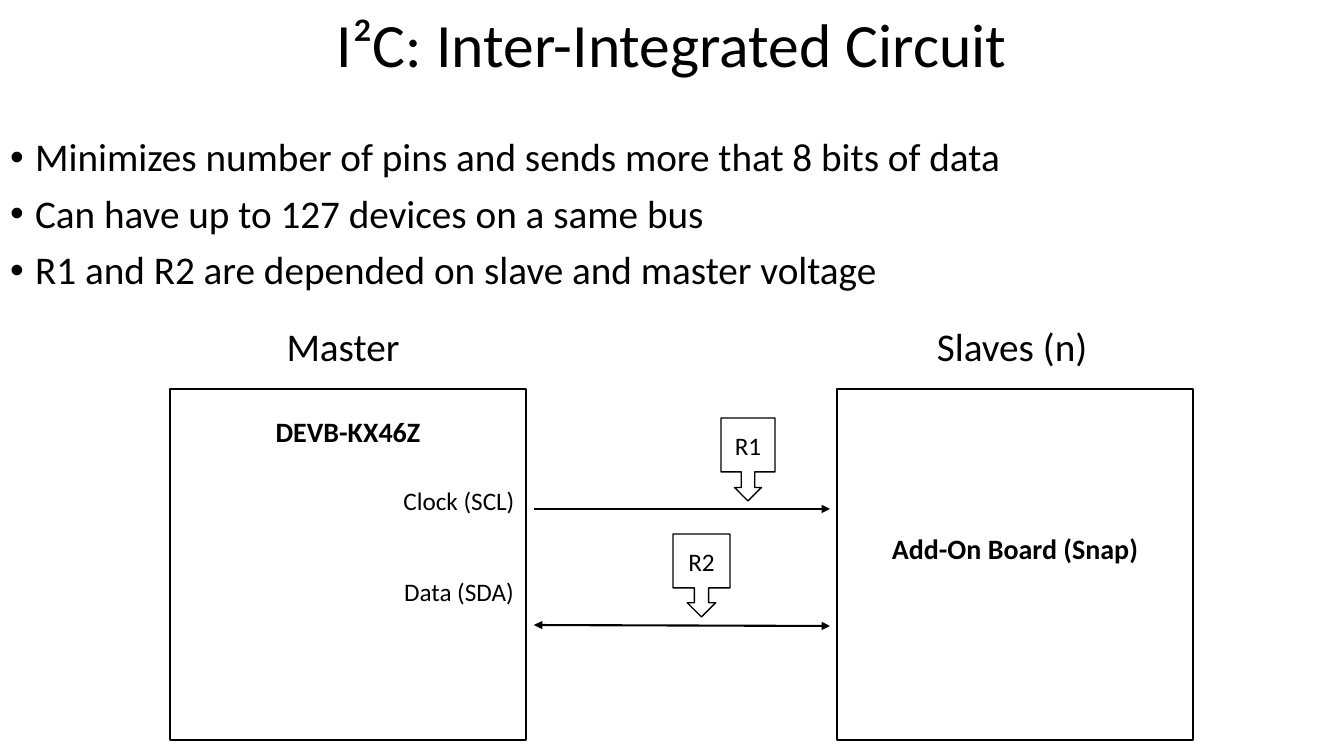
import dataclasses

import lxml.etree
import pptx
import pptx.dml.color
import pptx.enum.shapes
import pptx.enum.text
import pptx.oxml.ns
import pptx.util


@dataclasses.dataclass(frozen=True)
class Theme:
    font: str = "Calibri"
    ink: pptx.dml.color.RGBColor = pptx.dml.color.RGBColor(0, 0, 0)
    paper: pptx.dml.color.RGBColor = pptx.dml.color.RGBColor(255, 255, 255)
    title: int = 44
    heading: int = 28
    board: int = 20
    label: int = 18
    outline: float = 1
    wire: float = 1.5


theme = Theme()
PX = 914400 / 100.8
SHAPES = pptx.enum.shapes.MSO_SHAPE
ALIGN = pptx.enum.text.PP_ALIGN
ANCHOR = pptx.enum.text.MSO_ANCHOR
qn = pptx.oxml.ns.qn


def px(*lengths):
    """Turn whole pixels into EMU lengths."""
    return [pptx.util.Emu(round(length * PX)) for length in lengths]


def write(box, text, size, bold=False, align=ALIGN.CENTER, anchor=ANCHOR.TOP,
          line_spacing=None, gap=0, bullet_indent=None):
    """Fill a box with one paragraph per line of text; gap separates them."""
    frame = box.text_frame
    frame.word_wrap = True
    frame.auto_size = pptx.enum.text.MSO_AUTO_SIZE.NONE
    frame.vertical_anchor = anchor
    frame.text = text
    for index, para in enumerate(frame.paragraphs):
        para.alignment = align
        para.line_spacing = line_spacing
        para.space_before = pptx.util.Pt(gap if index else 0)
        if bullet_indent:
            indent = px(bullet_indent)[0]
            properties = para._p.get_or_add_pPr()
            properties.set("marL", str(indent))
            properties.set("indent", str(-indent))
            lxml.etree.SubElement(properties, qn("a:buFont")).set("typeface", "Arial")
            lxml.etree.SubElement(properties, qn("a:buChar")).set("char", "•")
        for span in para.runs:
            span.font.name = theme.font
            span.font.size = pptx.util.Pt(size)
            span.font.bold = bold
            span.font.color.rgb = theme.ink


deck = pptx.Presentation()
deck.slide_width, deck.slide_height = px(1344, 756)
page = deck.slides.add_slide(deck.slide_layouts[1])

# Title and list
title, body = page.placeholders
title.left, title.top, title.width, title.height = px(0, 3, 1344, 89)
write(title, "I²C: Inter-Integrated Circuit", theme.title,
      anchor=ANCHOR.MIDDLE, line_spacing=0.9)
body.left, body.top, body.width, body.height = px(0, 133, 1344, 203)
write(body, "Minimizes number of pins and sends more that 8 bits of data\n"
            "Can have up to 127 devices on a same bus\n"
            "R1 and R2 are depended on slave and master voltage",
      theme.heading, align=ALIGN.LEFT, line_spacing=0.9, gap=10, bullet_indent=25)

# Boards and resistor callouts
outlined = [
    (SHAPES.RECTANGLE, "", (170, 389, 356, 351)),
    (SHAPES.RECTANGLE, "", (837, 389, 356, 351)),
    (SHAPES.DOWN_ARROW_CALLOUT, "R1", (721, 418, 54, 83)),
    (SHAPES.DOWN_ARROW_CALLOUT, "R2", (673, 534, 57, 83)),
]
for kind, text, place in outlined:
    shape = page.shapes.add_shape(kind, *px(*place))
    shape.shadow.inherit = False
    shape.fill.solid()
    shape.fill.fore_color.rgb = theme.paper
    shape.line.color.rgb = theme.ink
    shape.line.width = pptx.util.Pt(theme.outline)
    if text:
        write(shape, text, theme.label, anchor=ANCHOR.MIDDLE)

# Bus wires
wires = [
    ((534, 509, 830, 509), ["tailEnd"]),
    ((534, 625, 830, 626), ["headEnd", "tailEnd"]),
]
for ends, arrowheads in wires:
    wire = page.shapes.add_connector(pptx.enum.shapes.MSO_CONNECTOR.STRAIGHT, *px(*ends))
    wire.line.color.rgb = theme.ink
    wire.line.width = pptx.util.Pt(theme.wire)
    for arrowhead in arrowheads:
        lxml.etree.SubElement(wire.line._ln, qn(f"a:{arrowhead}")).set("type", "triangle")
    lxml.etree.SubElement(wire._element.spPr, qn("a:effectLst"))

# Labels
labels = [
    ("Master", (181, 317, 324, 61), dict(size=theme.heading)),
    ("Slaves (n)", (850, 317, 324, 61), dict(size=theme.heading)),
    ("DEVB-KX46Z", (170, 410, 356, 47), dict(size=theme.board, bold=True)),
    ("Add-On Board (Snap)", (837, 527, 356, 47), dict(size=theme.board, bold=True)),
    ("Clock (SCL)\nData (SDA)", (297, 480, 324, 177), dict(size=theme.label, gap=44)),
]
for text, place, style in labels:
    write(page.shapes.add_textbox(*px(*place)), text, **style)

deck.save("out.pptx")
